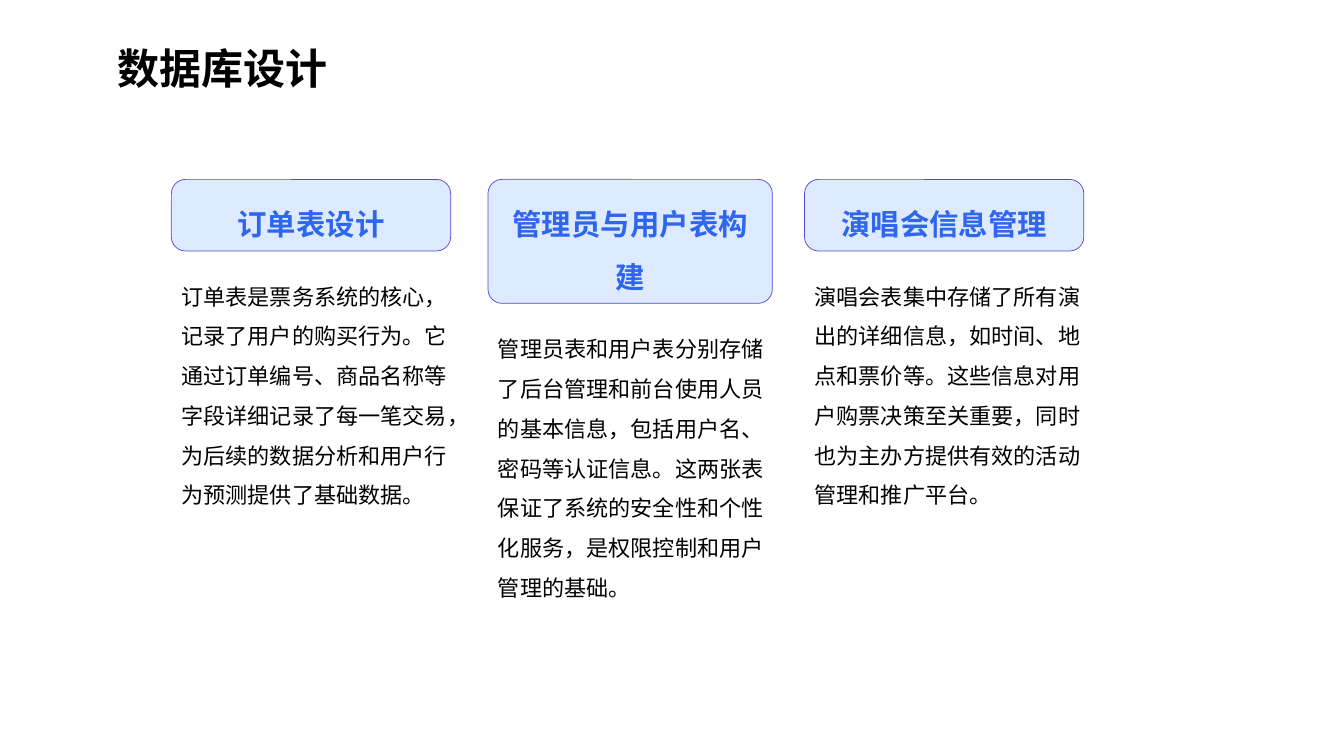
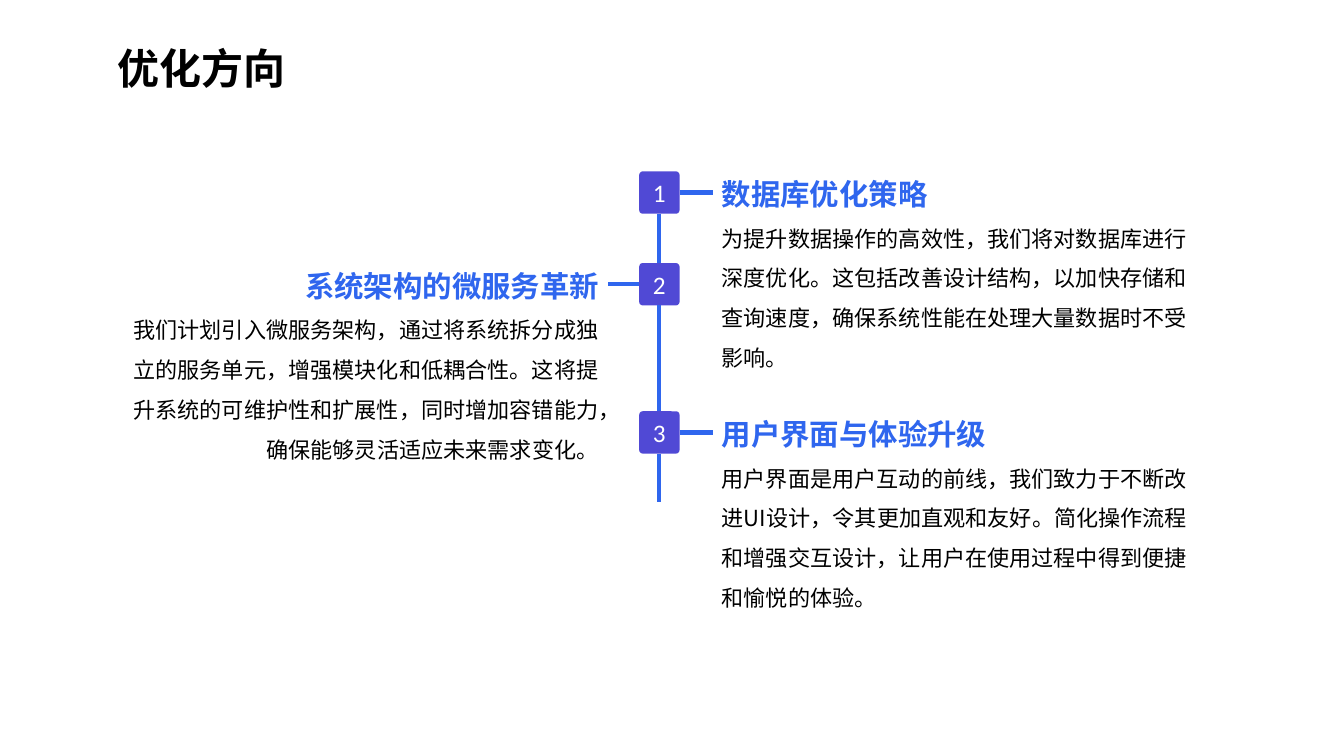
from dataclasses import dataclass

from pptx import Presentation
from pptx.dml.color import RGBColor
from pptx.enum.shapes import MSO_CONNECTOR, MSO_SHAPE
from pptx.enum.text import MSO_ANCHOR, MSO_AUTO_SIZE, PP_ALIGN
from pptx.oxml.ns import qn
from pptx.oxml.xmlchemy import OxmlElement
from pptx.util import Pt

# Shared scale, colours and fonts
PX = 9144  # 100 px to the inch
BLACK, WHITE = "000000", "FFFFFF"
BLUE, VIOLET, PALE = "2F66EE", "5049D5", "DEEAFF"
HAN, LATIN = "Noto Sans CJK SC", "Calibri"


@dataclass(frozen=True)
class Style:
    size: float
    color: str
    bold: bool = False
    face: str = HAN
    align: PP_ALIGN = PP_ALIGN.LEFT
    space: float = 1.5


@dataclass(frozen=True)
class Card:
    head: str
    body: str
    width: int
    height: int
    depth: int


@dataclass(frozen=True)
class Step:
    top: int
    right: bool
    head: str
    body: str


TITLE = Style(30, BLACK, bold=True)
LABEL = Style(21, BLUE, bold=True, align=PP_ALIGN.CENTER)
BODY = Style(15.8, BLACK)
NUMBER = Style(18, WHITE, face=LATIN, align=PP_ALIGN.CENTER, space=1.0)

CARDS = [
    Card("订单表设计",
         "订单表是票务系统的核心，记录了用户的购买行为。它通过订单编号、商品名称等"
         "字段详细记录了每一笔交易，为后续的数据分析和用户行为预测提供了基础数据。",
         277, 71, 246),
    Card("管理员与用户表构建",
         "管理员表和用户表分别存储了后台管理和前台使用人员的基本信息，包括用户名、"
         "密码等认证信息。这两张表保证了系统的安全性和个性化服务，是权限控制和用户"
         "管理的基础。",
         282, 123, 286),
    Card("演唱会信息管理",
         "演唱会表集中存储了所有演出的详细信息，如时间、地点和票价等。这些信息对用"
         "户购票决策至关重要，同时也为主办方提供有效的活动管理和推广平台。",
         277, 71, 246),
]

STEPS = [
    Step(170, True, "数据库优化策略",
         "为提升数据操作的高效性，我们将对数据库进行深度优化。这包括改善设计结构，"
         "以加快存储和查询速度，确保系统性能在处理大量数据时不受影响。"),
    Step(261, False, "系统架构的微服务革新",
         "我们计划引入微服务架构，通过将系统拆分成独立的服务单元，增强模块化和低耦"
         "合性。这将提升系统的可维护性和扩展性，同时增加容错能力，确保能够灵活适应"
         "未来需求变化。"),
    Step(408, True, "用户界面与体验升级",
         "用户界面是用户互动的前线，我们致力于不断改进UI设计，令其更加直观和友好。"
         "简化操作流程和增强交互设计，让用户在使用过程中得到便捷和愉悦的体验。"),
]


def px(count: int) -> int:
    return count * PX


def rgb(code: str) -> RGBColor:
    return RGBColor.from_string(code)


def write(frame, lines: list[tuple[str, Style]], grow: bool = True) -> None:
    """Fill a text frame with one styled paragraph per line."""
    frame.word_wrap = True
    frame.vertical_anchor = MSO_ANCHOR.MIDDLE
    frame.auto_size = MSO_AUTO_SIZE.SHAPE_TO_FIT_TEXT if grow else MSO_AUTO_SIZE.NONE
    for i, (text, style) in enumerate(lines):
        para = frame.add_paragraph() if i else frame.paragraphs[0]
        para.text = text
        para.alignment = style.align
        para.line_spacing = style.space
        font = para.font
        font.size, font.bold, font.name = Pt(style.size), style.bold, style.face
        font.color.rgb = rgb(style.color)
        # East Asian face
        asian = OxmlElement("a:ea")
        asian.set("typeface", style.face)
        para._p.pPr.find(qn("a:defRPr")).append(asian)


def add_text(slide, left: int, top: int, width: int, height: int,
             lines: list[tuple[str, Style]]) -> None:
    box = slide.shapes.add_textbox(px(left), px(top), px(width), px(height))
    write(box.text_frame, lines)


def add_box(slide, left: int, top: int, width: int, height: int,
            fill: str, radius: float, edge: str | None = None):
    box = slide.shapes.add_shape(MSO_SHAPE.ROUNDED_RECTANGLE,
                                 px(left), px(top), px(width), px(height))
    box.shadow.inherit = False
    box.adjustments[0] = radius / min(width, height)
    box.fill.solid()
    box.fill.fore_color.rgb = rgb(fill)
    if edge:
        box.line.color.rgb = rgb(edge)
        box.line.width = Pt(0.5)
    else:
        box.line.fill.background()
    return box


def add_line(slide, start, site: int, x: int, y: int):
    """Draw a line from a side of a box to a point."""
    line = slide.shapes.add_connector(MSO_CONNECTOR.STRAIGHT,
                                      px(x), px(y), px(x), px(y))
    line.begin_connect(start, site)
    line.line.color.rgb = rgb(BLUE)
    line.line.width = Pt(3)
    line._element.spPr.append(OxmlElement("a:effectLst"))
    return line


def add_slide(deck, title: str):
    slide = deck.slides.add_slide(deck.slide_layouts[6])
    add_text(slide, 107, 12, 1025, 85, [(title, TITLE)])
    return slide


def draw_cards(deck) -> None:
    slide = add_slide(deck, "数据库设计")
    left, top, pitch, gap = 170, 178, 314, 14
    for i, card in enumerate(CARDS):
        x = left + i * pitch
        box = add_box(slide, x, top, card.width, card.height, PALE, 14, VIOLET)
        write(box.text_frame, [(card.head, LABEL)])
        add_text(slide, x, top + card.height + gap, 300, card.depth,
                 [(card.body, BODY)])


def draw_steps(deck) -> None:
    slide = add_slide(deck, "优化方向")
    mid, width, height, end = 654, 40, 42, 498
    badges = []
    for i, step in enumerate(STEPS, 1):
        # Numbered badge
        badge = add_box(slide, mid - width // 2, step.top, width, height, VIOLET, 3.5)
        write(badge.text_frame, [(str(i), NUMBER)], grow=False)
        badges.append(badge)

        # Arm and text on the chosen side
        site, tip, left, align = ((3, 707, 706, PP_ALIGN.LEFT) if step.right
                                  else (1, 603, 107, PP_ALIGN.RIGHT))
        add_line(slide, badge, site, tip, step.top + height // 2)
        head = Style(21, BLUE, bold=True, align=align, space=1.0)
        body = Style(15.8, BLACK, align=align)
        add_text(slide, left, step.top, 497, 203,
                 [(step.head, head), (step.body, body)])

    # Spine between badges, with a tail below the last
    for upper, lower in zip(badges, badges[1:]):
        add_line(slide, upper, 2, mid, end).end_connect(lower, 0)
    add_line(slide, badges[-1], 2, mid, end)


def main() -> None:
    deck = Presentation()
    deck.slide_width, deck.slide_height = px(1333), px(750)
    draw_cards(deck)
    draw_steps(deck)
    deck.save("out.pptx")


if __name__ == "__main__":
    main()
